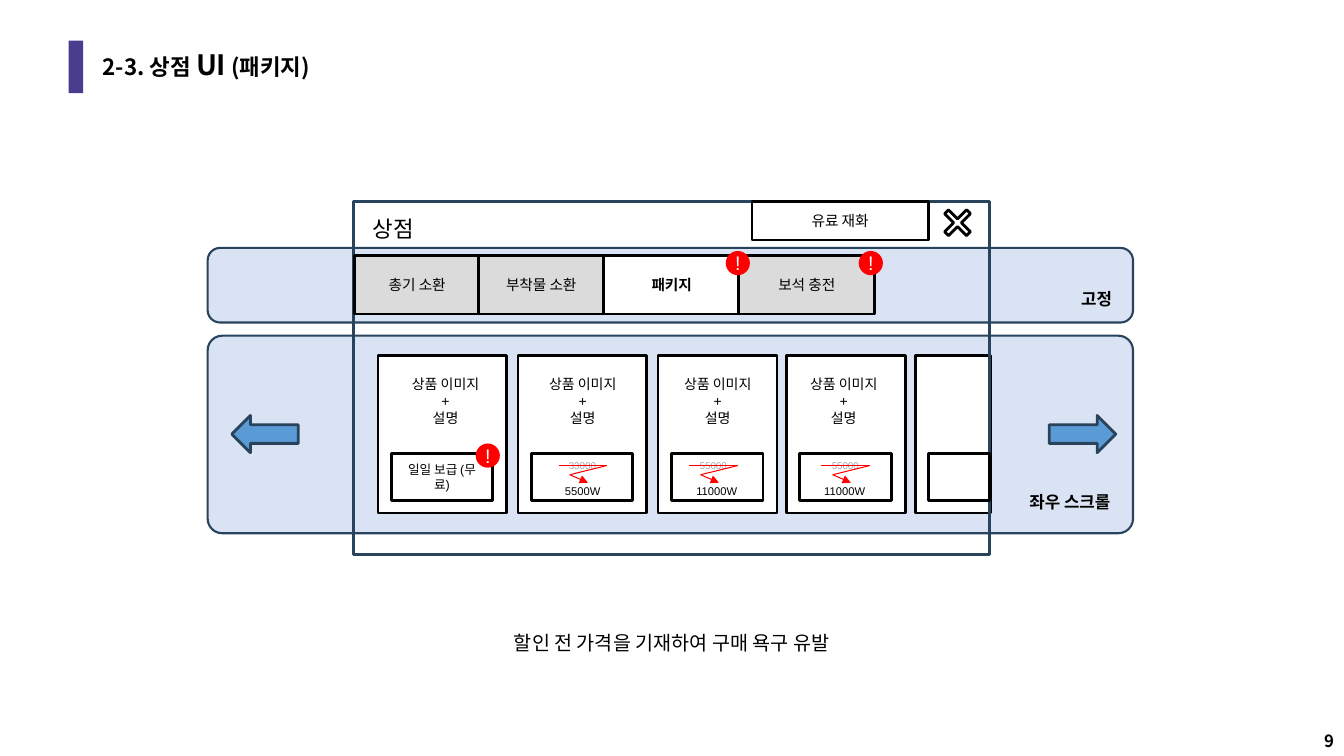
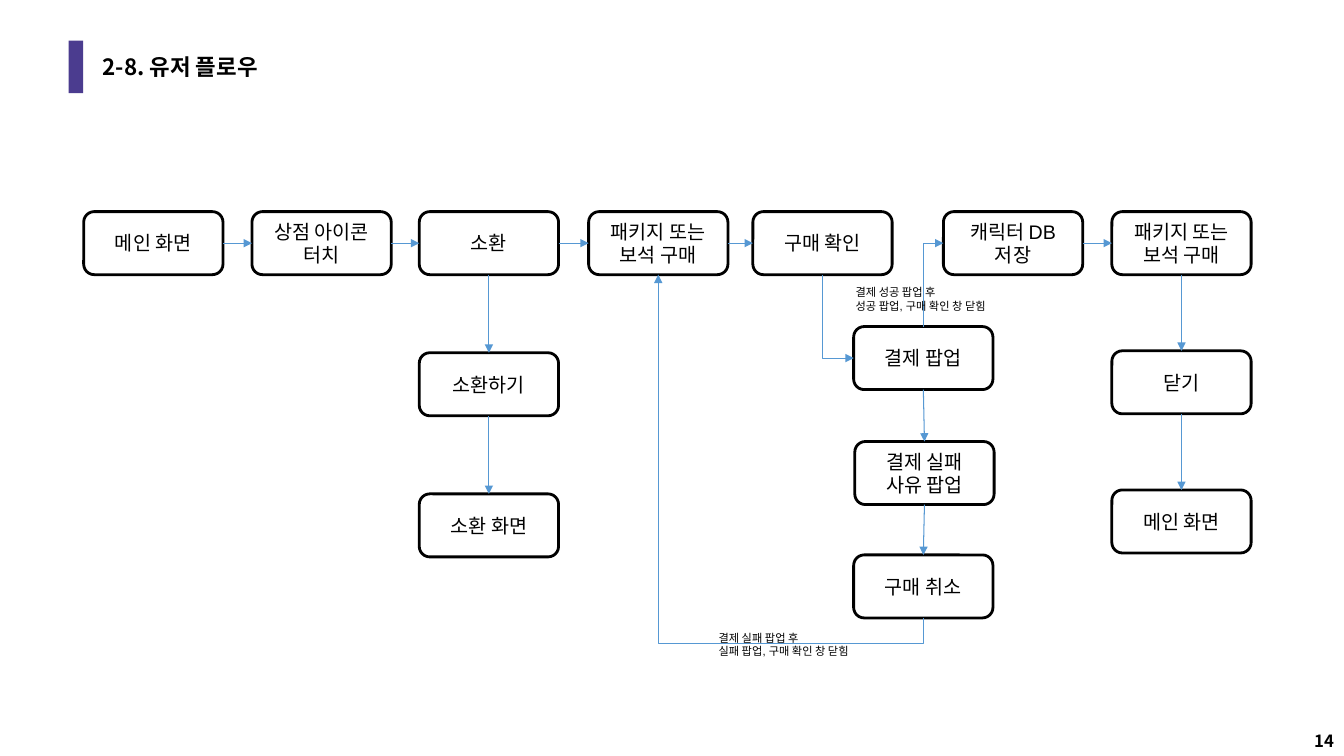
import pptx
import pptx.util
import pptx.dml.color
import pptx.enum.shapes
import pptx.enum.text
import pptx.oxml
import pptx.oxml.ns
from lxml import etree

Pt = pptx.util.Pt
RGBColor = pptx.dml.color.RGBColor
SHAPE = pptx.enum.shapes.MSO_SHAPE
CONNECTOR = pptx.enum.shapes.MSO_CONNECTOR
ALIGN = pptx.enum.text.PP_ALIGN
ANCHOR = pptx.enum.text.MSO_ANCHOR
qn = pptx.oxml.ns.qn

BLACK = RGBColor(0x00, 0x00, 0x00)
WHITE = RGBColor(0xFF, 0xFF, 0xFF)
PURPLE = RGBColor(0x4B, 0x3C, 0x8F)
PALE_BLUE = RGBColor(0xDA, 0xE3, 0xF3)
NAVY = RGBColor(0x28, 0x44, 0x5D)
BLUE = RGBColor(0x5B, 0x9B, 0xD5)
FLOW_BLUE = RGBColor(0x56, 0x98, 0xD3)
GRAY = RGBColor(0xDB, 0xDB, 0xDB)
OLD_PRICE_GRAY = RGBColor(0xA6, 0xA6, 0xA6)
RED = RGBColor(0xFF, 0x00, 0x00)

BODY_FONT = "Arial"
HEADING_FONT = "Noto Sans CJK KR"
TOP, LEFT, BOTTOM, RIGHT = range(4)


class Deck:
    """Holds the shared style and the current slide."""

    def __init__(self):
        """Start a widescreen presentation."""
        self.presentation = pptx.Presentation()
        self.presentation.slide_width = Pt(960)
        self.presentation.slide_height = Pt(540)
        self.slide = None

    def add_slide(self, title, number):
        """Add a slide with its title, accent bar and page number."""
        layout = self.presentation.slide_layouts[5]
        self.slide = self.presentation.slides.add_slide(layout)
        self.shape(SHAPE.RECTANGLE, 49, 29, 10.4, 37.5, fill=PURPLE, line=None)
        placeholder = self.slide.shapes.title
        placeholder.left, placeholder.top = Pt(66.24), Pt(28.8)
        placeholder.width, placeholder.height = Pt(828), Pt(37.5)
        self.set_text(placeholder.text_frame, title, 20, bold=True,
                      name=HEADING_FONT, align=ALIGN.LEFT)
        paragraph = placeholder.text_frame.paragraphs[0]
        paragraph.line_spacing = 0.9
        paragraph._p.get_or_add_pPr().get_or_add_defRPr().set("cap", "small")
        self.label(number, 894, 511, 66, 29, 12, bold=True, name=HEADING_FONT,
                   align=ALIGN.RIGHT, anchor=ANCHOR.BOTTOM)

    def set_text(self, frame, text, size, color=BLACK, bold=False,
                 name=BODY_FONT, align=ALIGN.CENTER, anchor=ANCHOR.MIDDLE):
        """Fill a text frame, one paragraph for each line of text."""
        frame.text = text
        frame.vertical_anchor = anchor
        for paragraph in frame.paragraphs:
            paragraph.alignment = align
            font = paragraph.font
            font.size, font.bold, font.name = Pt(size), bold, name
            font.color.rgb = color
            properties = paragraph._p.get_or_add_pPr().get_or_add_defRPr()
            etree.SubElement(properties, qn("a:ea"), typeface=HEADING_FONT)

    def shape(self, kind, left, top, width, height, fill=None, line=BLACK,
              weight=2, adjustment=None):
        """Add a preset shape without a shadow."""
        shape = self.slide.shapes.add_shape(
            kind, Pt(left), Pt(top), Pt(width), Pt(height))
        shape.shadow.inherit = False
        if fill is None:
            shape.fill.background()
        else:
            shape.fill.solid()
            shape.fill.fore_color.rgb = fill
        if line is None:
            shape.line.fill.background()
        else:
            shape.line.color.rgb = line
            shape.line.width = Pt(weight)
        if adjustment is not None:
            shape.adjustments[0] = adjustment
        return shape

    def box(self, text, left, top, width, height, size, fill=None, bold=False,
            kind=SHAPE.RECTANGLE):
        """Add an outlined box with centred text."""
        shape = self.shape(kind, left, top, width, height, fill)
        shape.text_frame.word_wrap = True
        self.set_text(shape.text_frame, text, size, bold=bold)
        return shape

    def label(self, text, left, top, width, height, size, wrap=False, **style):
        """Add a text box."""
        box = self.slide.shapes.add_textbox(
            Pt(left), Pt(top), Pt(width), Pt(height))
        box.text_frame.word_wrap = wrap
        self.set_text(box.text_frame, text, size, **style)

    def badge(self, left, top):
        """Add a red alert badge."""
        shape = self.shape(SHAPE.OVAL, left, top, 17.3, 17.3, RED, None)
        frame = shape.text_frame
        frame.margin_left = frame.margin_right = 0
        frame.margin_top = frame.margin_bottom = 0
        self.set_text(frame, "!", 14, WHITE)

    def connector(self, kind, color, start=(0, 0), end=(0, 0), head=True):
        """Add a thin connector, with an arrowhead if wanted."""
        connector = self.slide.shapes.add_connector(
            kind, Pt(start[0]), Pt(start[1]), Pt(end[0]), Pt(end[1]))
        connector.line.color.rgb = color
        connector.line.width = Pt(0.75)
        if head:
            etree.SubElement(connector.line._get_or_add_ln(),
                             qn("a:tailEnd"), type="triangle")
        etree.SubElement(connector._element.spPr, qn("a:effectLst"))
        return connector

    def arrow(self, source, source_side, target, target_side,
              kind=CONNECTOR.STRAIGHT):
        """Join two boxes with an arrow."""
        connector = self.connector(kind, FLOW_BLUE)
        connector.begin_connect(source, source_side)
        connector.end_connect(target, target_side)
        return connector

    def elbow(self, source, source_side, target, target_side, preset, degrees,
              flip_vertical=False, bend=None):
        """Join two boxes with a bent arrow turned by a quarter."""
        connector = self.arrow(source, source_side, target, target_side,
                               CONNECTOR.ELBOW)
        width, height = connector.width, connector.height
        connector.left += (width - height) // 2
        connector.top += (height - width) // 2
        connector.width, connector.height = height, width
        properties = connector._element.spPr
        transform = properties.find(qn("a:xfrm"))
        transform.set("rot", str(degrees * 60000))
        transform.set("flipH", "1")
        transform.set("flipV", str(int(flip_vertical)))
        geometry = properties.find(qn("a:prstGeom"))
        geometry.set("prst", preset)
        if bend is not None:
            etree.SubElement(geometry.find(qn("a:avLst")), qn("a:gd"),
                             name="adj1", fmla=f"val {bend}")

    def discount(self, center, left, old, new):
        """Add a struck old price with an arrow to the new one."""
        self.label(old, left, 324.7, 34, 15.8, 7, color=OLD_PRICE_GRAY)
        points = [(left + x, 332.6 + y) for x, y in
                  ((0, 0), (34.3, 0), (8, 6.5), (21, 12.2))]
        for start, end in zip(points, points[1:]):
            self.connector(CONNECTOR.STRAIGHT, RED, start, end,
                           head=end == points[-1])
        self.label(new, center - 22.3, 342, 44.6, 17.3, 8)


def build_shop(deck):
    """Draw the package tab of the shop."""
    deck.add_slide("2-3. 상점 UI (패키지)", "9")
    for top, height, corner in ((177.1, 53.3, 0.167), (239.8, 141.1, 0.074)):
        deck.shape(SHAPE.ROUNDED_RECTANGLE, 148.3, top, 661, height,
                   PALE_BLUE, NAVY, 1.5, corner)

    cards = [(270, 92, "일일 보급 (무료)"), (370, 92, ""), (470, 85, ""),
             (561.6, 85, ""), (653.8, 53.5, "")]
    for left, width, _ in cards:
        deck.shape(SHAPE.RECTANGLE, left, 254.2, width, 112.3, WHITE)

    deck.shape(SHAPE.RECTANGLE, 252.7, 144, 454.3, 252, line=NAVY)
    deck.box("유료 재화", 537.1, 144, 126, 27.4, 10.5)
    deck.shape(SHAPE.MATH_MULTIPLY, 668.9, 144, 30.2, 30.2, WHITE,
               adjustment=0.129)
    tabs = [("총기 소환", 253.4, 89.3), ("부착물 소환", 342, 89.3),
            ("패키지", 431.3, 97), ("보석 충전", 527.8, 97)]
    for name, left, width in tabs:
        selected = name == "패키지"
        deck.box(name, left, 182.5, width, 41.8, 10.5,
                 WHITE if selected else GRAY, selected)
    deck.label("상점", 259.2, 149.8, 195.8, 26.6, 16, wrap=True,
               align=ALIGN.LEFT)

    for left, width, offer in cards:
        button_left = left + 9.5
        button_right = min(left + width - 10, 707)
        if left == cards[-1][0]:
            button_right = 707
        deck.box(offer, button_left, 324, button_right - button_left, 33.8, 9,
                 WHITE)

    for kind, left in ((SHAPE.RIGHT_ARROW, 749.5), (SHAPE.LEFT_ARROW, 165.6)):
        deck.shape(kind, left, 296.8, 47.5, 26.6, BLUE, NAVY)
    deck.label("좌우 스크롤", 725, 347.8, 78.5, 21.6, 12, bold=True)
    deck.label("고정", 763.9, 202.3, 38.9, 21.6, 12, bold=True)
    for left, top in ((613.4, 179.3), (518.4, 179.3), (339.8, 316.8)):
        deck.badge(left, top)

    for center in (318.2, 416.2, 512.6, 602.6):
        deck.label("상품 이미지\n+\n설명", center - 33.8, 264.2, 67.7, 43.9, 10)
    for center, left, old, new in ((416.2, 399, "33000", "5500W"),
                                   (512, 492.5, "55000", "11000W"),
                                   (603.4, 586.8, "55000", "11000W")):
        deck.discount(center, left, old, new)
    deck.label("할인 전 가격을 기재하여 구매 욕구 유발", 344.9, 447.1, 270, 24.5,
               14, name=HEADING_FONT)


def build_flow(deck):
    """Draw the user flow."""
    deck.add_slide("2-8. 유저 플로우", "14")

    def step(text, left, top=151.2):
        """Add one step of the flow."""
        return deck.box(text, left, top, 99.5, 45, 14,
                        kind=SHAPE.ROUNDED_RECTANGLE)

    main = step("메인 화면", 59.8)
    icon = step("상점 아이콘 터치", 180)
    summon = step("소환", 299.5)
    summon_action = step("소환하기", 299.5, 252)
    summon_screen = step("소환 화면", 299.5, 352.8)
    purchase = step("패키지 또는 보석 구매", 420.5)
    confirm = step("구매 확인", 537.8)
    payment = step("결제 팝업", 609.8, 233.3)
    failure = step("결제 실패 사유 팝업", 610.6, 315.4)
    cancel = step("구매 취소", 609.8, 396.4)
    save = step("캐릭터 DB 저장", 673.9)
    finished = step("패키지 또는 보석 구매", 794.2)
    close = step("닫기", 794.2, 250.6)
    main_again = step("메인 화면", 794.2, 350)

    rows = [(main, icon, summon, purchase, confirm), (save, finished)]
    columns = [(summon, summon_action, summon_screen),
               (payment, failure, cancel), (finished, close, main_again)]
    for chains, exit_side, entry_side in ((rows, RIGHT, LEFT),
                                          (columns, BOTTOM, TOP)):
        for chain in chains:
            for source, target in zip(chain, chain[1:]):
                deck.arrow(source, exit_side, target, entry_side)
    deck.elbow(confirm, BOTTOM, payment, LEFT, "bentConnector2", 270)
    deck.elbow(cancel, BOTTOM, purchase, BOTTOM, "bentConnector3", 90,
               bend=-7300)
    deck.elbow(payment, TOP, save, LEFT, "bentConnector2", 90,
               flip_vertical=True)

    for result, left, top in (("성공", 604.1, 200.2), ("실패", 506.2, 447.1)):
        deck.label(f"결제 {result} 팝업 후\n{result} 팝업, 구매 확인 창 닫힘",
                   left, top, 117.4, 26.6, 8, align=ALIGN.LEFT)


deck = Deck()
build_shop(deck)
build_flow(deck)
deck.presentation.save("out.pptx")
